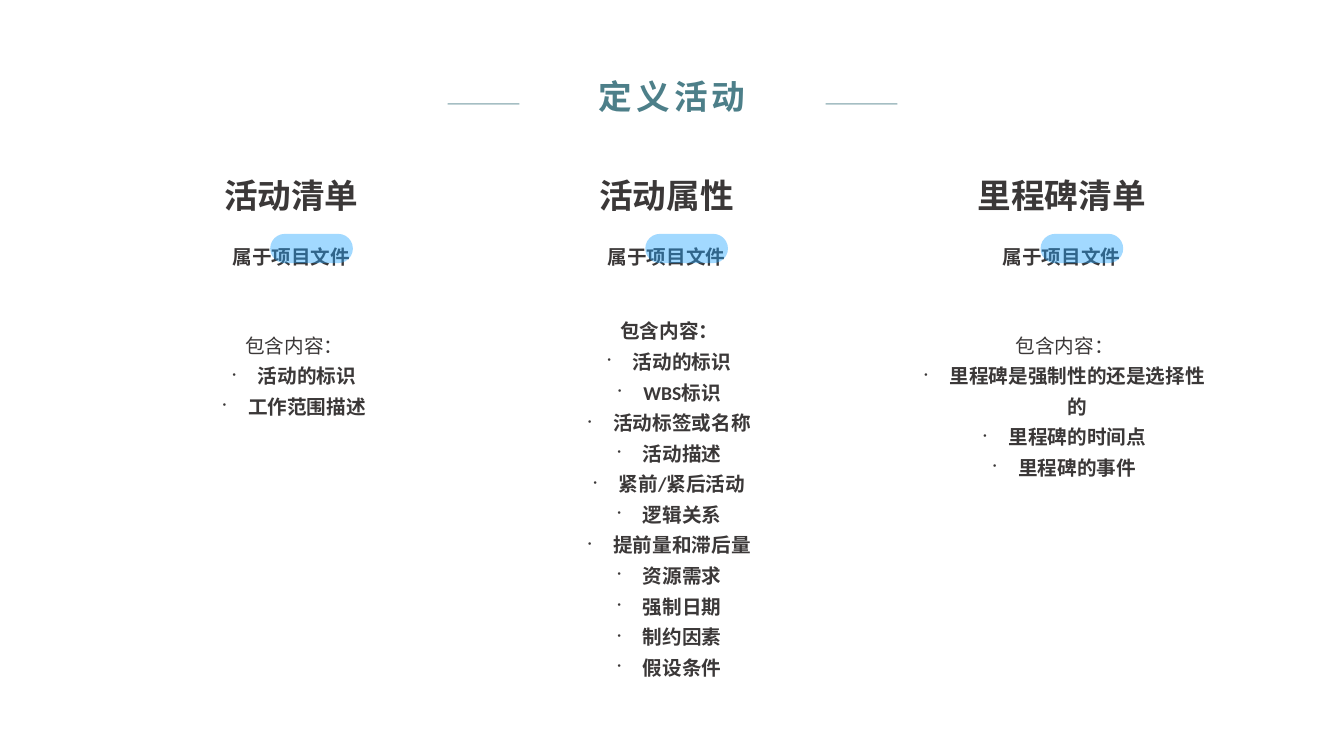
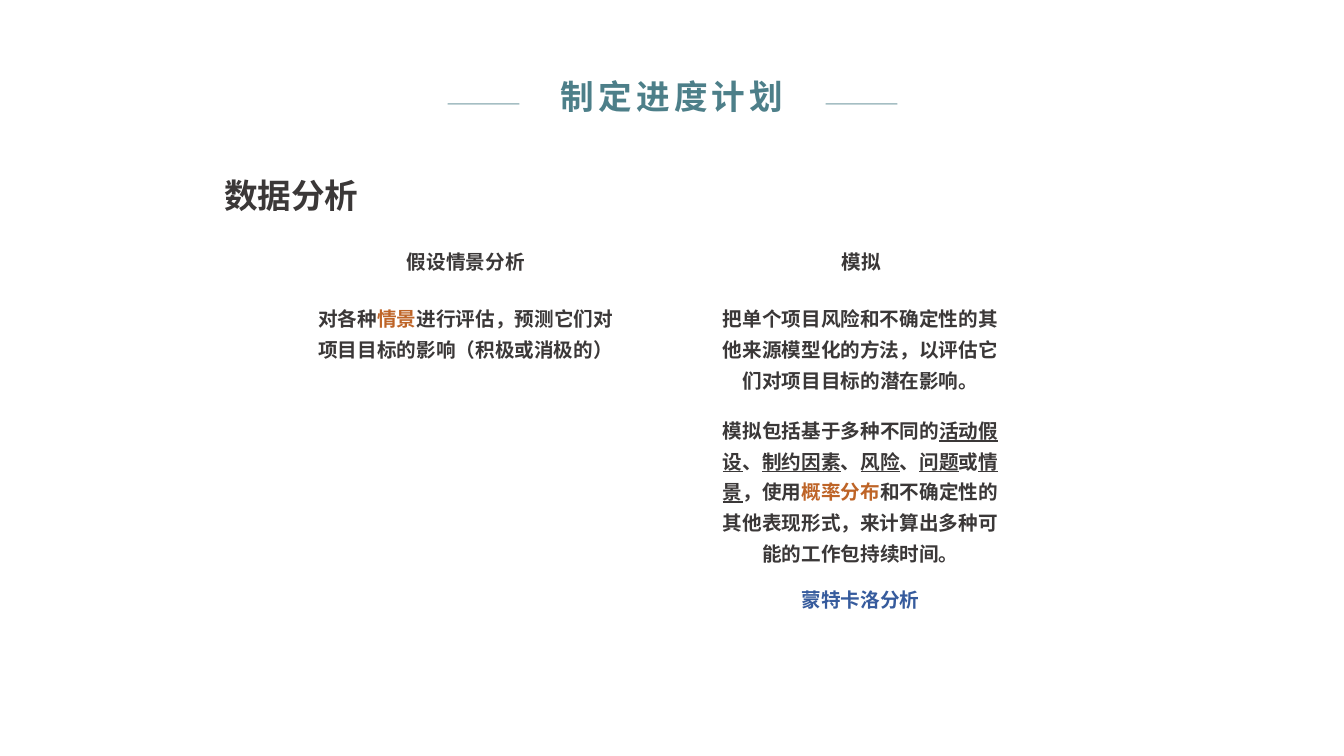
from lxml import etree
from pptx import Presentation
from pptx.dml.color import RGBColor
from pptx.enum.shapes import MSO_CONNECTOR, MSO_SHAPE
from pptx.enum.text import MSO_ANCHOR, MSO_AUTO_SIZE, PP_ALIGN
from pptx.oxml.ns import qn
from pptx.util import Inches, Pt

TEAL = RGBColor(0x4D, 0x7F, 0x89)
DARK = RGBColor(0x3B, 0x38, 0x38)
ORANGE = RGBColor(0xBE, 0x64, 0x27)
BLUE = RGBColor(0x36, 0x5B, 0x9D)
SKY = RGBColor(0x23, 0xA5, 0xFF)
FONT = "Calibri"
STRAIGHT = MSO_CONNECTOR.STRAIGHT
ROUNDED = MSO_SHAPE.ROUNDED_RECTANGLE
CENTER = PP_ALIGN.CENTER
MIDDLE = MSO_ANCHOR.MIDDLE
GROW = MSO_AUTO_SIZE.SHAPE_TO_FIT_TEXT
NO_FIT = MSO_AUTO_SIZE.NONE
TITLE_ONLY = 5


def write(tf, runs, size=14, spacing=1.3, wrap=False, fit=GROW, new=False):
    tf.auto_size = fit
    tf.word_wrap = wrap
    tf.margin_left = tf.margin_right = Inches(0.05)
    tf.margin_top = tf.margin_bottom = Inches(0.05)
    p = tf.add_paragraph() if new else tf.paragraphs[0]
    p.alignment = CENTER
    p.line_spacing = spacing
    for text, color, bold, underline in runs:
        r = p.add_run()
        r.text = text
        r.font.size = Pt(size)
        r.font.bold = bold
        r.font.underline = underline
        r.font.color.rgb = color
        r.font.name = FONT
        etree.SubElement(r.font._element, qn("a:ea"), typeface=FONT)
    return p


def start_slide(prs, title):
    s = prs.slides.add_slide(prs.slide_layouts[TITLE_ONLY])
    sp = s.shapes.title
    sp.left, sp.top = Inches(5.24), Inches(0.65)
    sp.width, sp.height = Inches(2.85), Inches(0.6)
    tf = sp.text_frame
    tf.vertical_anchor = MIDDLE
    p = write(tf, [(title, TEAL, True, False)], 24, 1.0, True, NO_FIT)
    p.runs[0].font._element.set("spc", "300")
    for left in (4.44, 8.19):
        line = s.shapes.add_connector(STRAIGHT, Inches(left), Inches(1.03),
                                      Inches(left + 0.71), Inches(1.03))
        line.line.color.rgb = TEAL
        line.line.width = Pt(1)
        clr = line.line._ln.find(".//" + qn("a:srgbClr"))
        etree.SubElement(clr, qn("a:alpha"), val="50000")
        etree.SubElement(line._element.spPr, qn("a:effectLst"))
    return s


prs = Presentation()
prs.slide_width = Inches(13.33)
prs.slide_height = Inches(7.5)

s = start_slide(prs, "定义活动")
columns = [
    (2.89, "活动清单", 3.19, 1.53, False, ["活动的标识", "工作范围描述"]),
    (6.61, "活动属性", 3.05, 1.72, True, [
        "活动的标识", "WBS标识", "活动标签或名称", "活动描述", "紧前/紧后活动",
        "逻辑关系", "提前量和滞后量", "资源需求", "强制日期", "制约因素", "假设条件"]),
    (10.53, "里程碑清单", 3.19, 3.04, False, [
        "里程碑是强制性的还是选择性的", "里程碑的时间点", "里程碑的事件"]),
]
for center, heading, list_top, list_width, lead_bold, items in columns:
    for text, top, width, height, size in ((heading, 1.57, 1.8, 0.46, 24),
                                           ("属于项目文件", 2.31, 1.28, 0.31, 14)):
        sp = s.shapes.add_textbox(Inches(center - width / 2), Inches(top),
                                  Inches(width), Inches(height))
        write(sp.text_frame, [(text, DARK, True, False)], size)

    pill = s.shapes.add_shape(ROUNDED, Inches(center - 0.21), Inches(2.32),
                              Inches(0.82), Inches(0.29))
    pill.adjustments[0] = 0.5
    pill.shadow.inherit = False
    pill.line.fill.background()
    pill.fill.solid()
    pill.fill.fore_color.rgb = SKY
    clr = pill._element.spPr.find(".//" + qn("a:srgbClr"))
    etree.SubElement(clr, qn("a:alpha"), val="42000")

    sp = s.shapes.add_textbox(Inches(center + 0.03 - list_width / 2), Inches(list_top),
                              Inches(list_width), Inches(0.3 * (len(items) + 1)))
    tf = sp.text_frame
    wrap = list_width > 3
    write(tf, [("包含内容：", DARK, lead_bold, False)], wrap=wrap)
    for item in items:
        p = write(tf, [(item, DARK, True, False)], wrap=wrap, new=True)
        pPr = p._p.get_or_add_pPr()
        pPr.set("marL", str(Inches(0.25)))
        pPr.set("indent", str(-Inches(0.25)))
        clr = etree.SubElement(pPr, qn("a:buClr"))
        etree.SubElement(clr, qn("a:srgbClr"), val=str(DARK))
        etree.SubElement(pPr, qn("a:buSzPct"), val="50000")
        etree.SubElement(pPr, qn("a:buChar"), char="•")

s = start_slide(prs, "制定进度计划")
blocks = [
    (2.17, 1.57, 1.44, 0.46, 24, False, [("数据分析", DARK, True, False)]),
    (3.98, 2.36, 1.28, 0.31, 14, False, [("假设情景分析", DARK, True, False)]),
    (8.29, 2.36, 0.5, 0.31, 14, False, [("模拟", DARK, True, False)]),
    (3.09, 2.93, 3.06, 0.58, 14, True, [
        ("对各种", DARK, True, False),
        ("情景", ORANGE, True, False),
        ("进行评估，预测它们对项目目标的影响（积极或消极的）", DARK, True, False)]),
    (7.07, 2.93, 2.93, 0.85, 14, True, [
        ("把单个项目风险和不确定性的其他来源模型化的方法，以评估它们对项目目标的潜在影响。",
         DARK, True, False)]),
    (7.07, 4.04, 2.93, 1.41, 14, True, [
        ("模拟包括基于多种不同的", DARK, True, False),
        ("活动假设", DARK, True, True),
        ("、", DARK, True, False),
        ("制约因素", DARK, True, True),
        ("、", DARK, True, False),
        ("风险", DARK, True, True),
        ("、", DARK, True, False),
        ("问题", DARK, True, True),
        ("或", DARK, True, False),
        ("情景", DARK, True, True),
        ("，使用", DARK, True, False),
        ("概率分布", ORANGE, True, False),
        ("和不确定性的其他表现形式，来计算出多种可能的工作包持续时间。", DARK, True, False)]),
    (7.07, 5.71, 2.93, 0.31, 14, True, [("蒙特卡洛分析", BLUE, True, False)]),
]
for left, top, width, height, size, wrap, runs in blocks:
    sp = s.shapes.add_textbox(Inches(left), Inches(top), Inches(width), Inches(height))
    write(sp.text_frame, runs, size, wrap=wrap)

prs.save("out.pptx")
